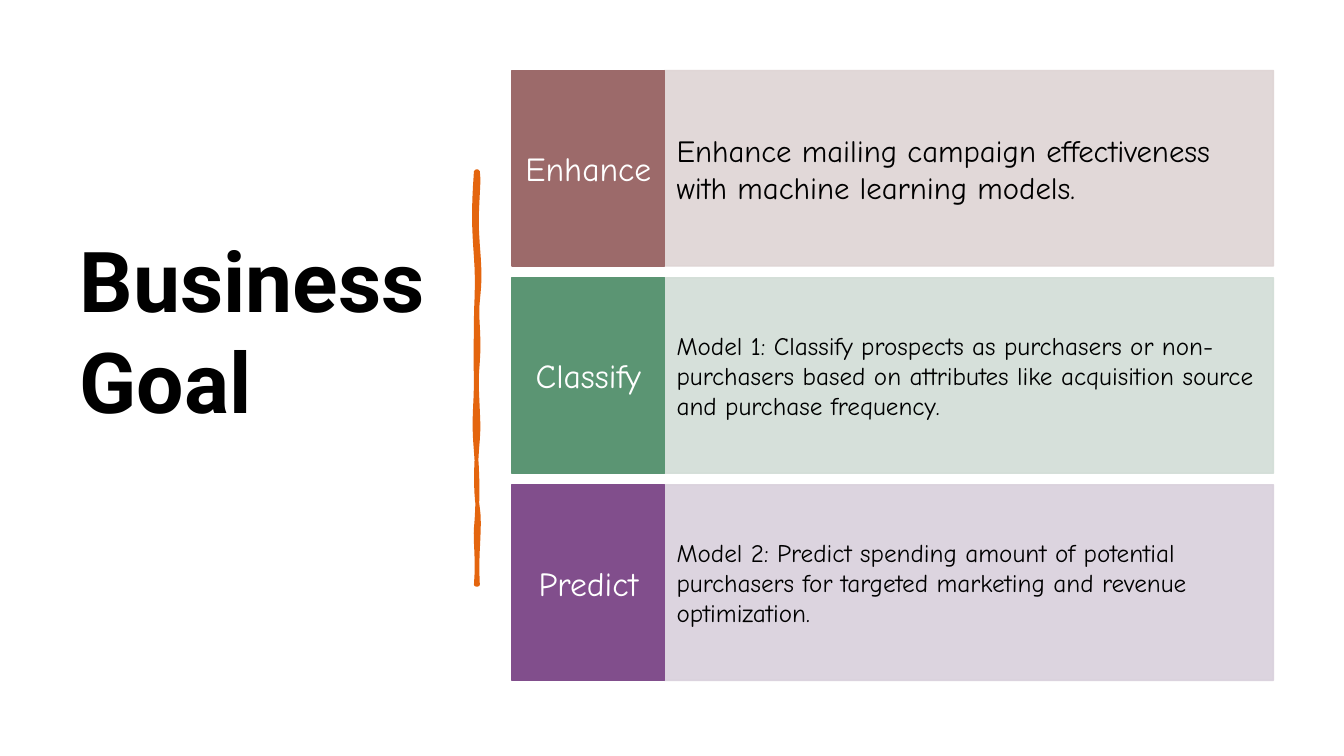
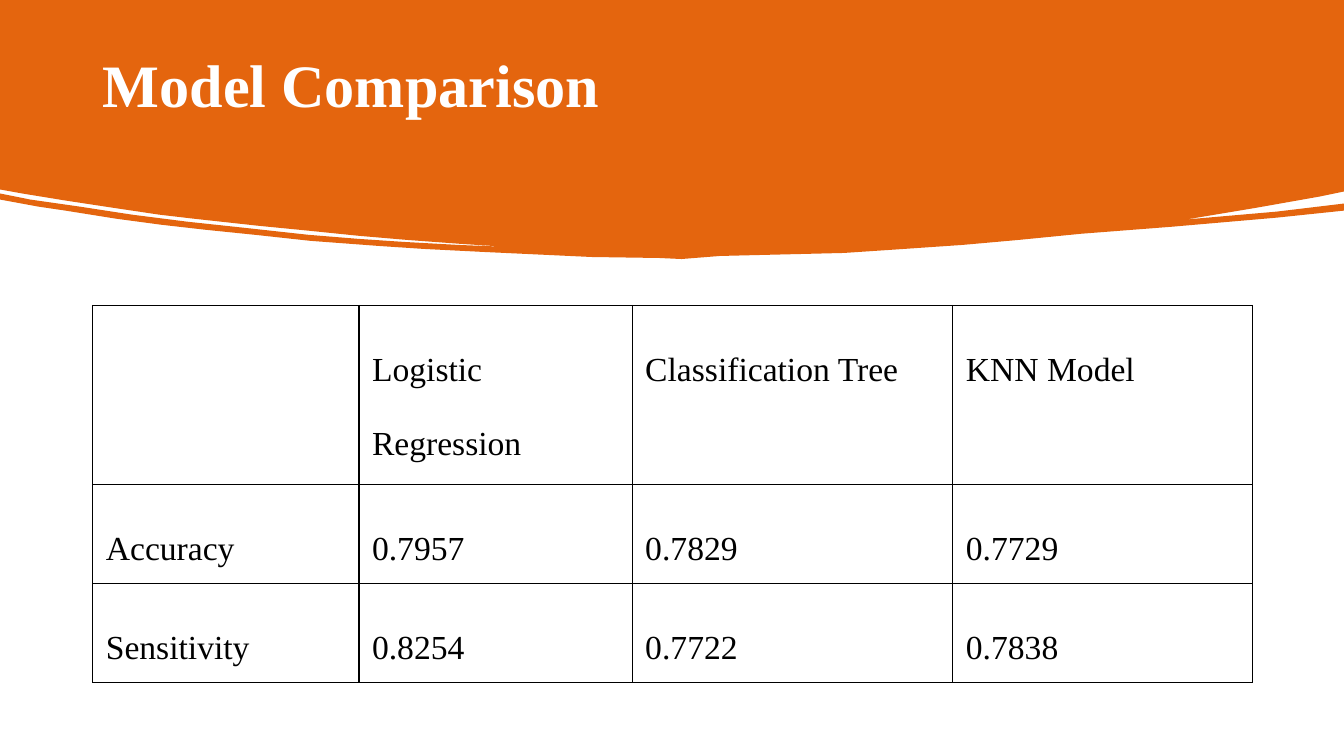
from dataclasses import dataclass
from typing import Optional

from lxml.etree import SubElement
from pptx import Presentation
from pptx.dml.color import RGBColor
from pptx.enum.shapes import MSO_SHAPE
from pptx.enum.text import MSO_ANCHOR as Anchor, PP_ALIGN as Align
from pptx.oxml import parse_xml
from pptx.oxml.ns import nsdecls, qn
from pptx.util import Inches, Pt

COLORS = {
    "black": "000000",
    "white": "FFFFFF",
    "orange": "E4650E",
    "rose": "9C6A6A",
    "pale rose": "DED4D4",
    "green": "5B9573",
    "pale green": "D2DDD6",
    "purple": "814E8C",
    "pale purple": "D9D0DC",
}
BODY_FONT = "Comic Neue"
SERIF_FONT = "Times New Roman"


@dataclass(frozen=True)
class Area:
    left: float
    top: float
    width: float
    height: float

    def emu(self):
        return [Inches(n) for n in (self.left, self.top, self.width, self.height)]


@dataclass(frozen=True)
class TextStyle:
    font: str
    size: float
    color: str
    bold: bool = False
    align: Align = Align.LEFT
    spacing: Optional[float] = None


@dataclass(frozen=True)
class Goal:
    label: str
    detail: str
    color: str
    size: float


GOALS = [
    Goal("Enhance", "Enhance mailing campaign effectiveness with machine learning models.",
         "rose", 22),
    Goal("Classify", "Model 1: Classify prospects as purchasers or non-purchasers based on "
         "attributes like acquisition source and purchase frequency.", "green", 18),
    Goal("Predict", "Model 2: Predict spending amount of potential purchasers for targeted "
         "marketing and revenue optimization.", "purple", 18),
]
GOAL_TOP, GOAL_BOTTOM, GOAL_HEIGHT = 0.7, 6.75, 1.94
LABEL_LEFT, LABEL_WIDTH, DETAIL_WIDTH = 5.08, 1.51, 6.04

STROKE_START = (4.72, 1.7)
STROKE_CURVES = [
    (4.73, 1.7, 4.73, 1.7, 4.74, 1.7),
    (4.76, 1.86, 4.71, 2.07, 4.74, 2.43),
    (4.77, 2.79, 4.75, 2.85, 4.74, 2.99),
    (4.72, 3.13, 4.76, 3.31, 4.74, 3.59),
    (4.71, 3.87, 4.76, 4.13, 4.74, 4.36),
    (4.72, 4.58, 4.71, 4.85, 4.74, 5.04),
    (4.77, 5.23, 4.72, 5.48, 4.74, 5.8),
    (4.73, 5.8, 4.73, 5.8, 4.72, 5.8),
    (4.74, 5.54, 4.71, 5.36, 4.72, 5.24),
    (4.73, 5.13, 4.75, 4.83, 4.72, 4.48),
    (4.69, 4.13, 4.72, 4.06, 4.72, 3.75),
    (4.71, 3.45, 4.72, 3.41, 4.72, 3.19),
    (4.72, 2.98, 4.74, 2.85, 4.72, 2.55),
    (4.7, 2.26, 4.69, 2.12, 4.72, 1.7),
]

BAND_OUTLINE = [
    (0, 0), (13.33, 0), (13.33, 1.9), (13.09, 1.95), (12.47, 2.06), (11.75, 2.18),
    (11.86, 2.17), (12.66, 2.1), (13.33, 2.02), (13.33, 2.09), (12.66, 2.16),
    (11.62, 2.25), (10.72, 2.32), (10.11, 2.38), (9.55, 2.43), (8.82, 2.48),
    (8.37, 2.51), (7.14, 2.54), (6.76, 2.57), (6.54, 2.56), (5.87, 2.55),
    (4.8, 2.5), (4.2, 2.47), (3.75, 2.44), (3.08, 2.39), (2.53, 2.33),
    (2.04, 2.28), (1.6, 2.23), (1.15, 2.17), (0.65, 2.09), (0.38, 2.05),
    (0, 1.98), (0, 1.92), (0.3, 1.98), (0.79, 2.05), (1.31, 2.13), (1.86, 2.2),
    (2.42, 2.26), (3.06, 2.33), (3.55, 2.37), (4, 2.4), (4.54, 2.43),
    (5.04, 2.45), (4.57, 2.42), (4.03, 2.38), (3.56, 2.34), (3.07, 2.29),
    (2.56, 2.24), (1.92, 2.17), (1.58, 2.13), (1.11, 2.06), (0.65, 1.99),
    (0.22, 1.92), (0, 1.88),
]

MODEL_ROWS = [
    ("", "Logistic Regression", "Classification Tree", "KNN Model"),
    ("Accuracy", "0.7957", "0.7829", "0.7729"),
    ("Sensitivity", "0.8254", "0.7722", "0.7838"),
]
COLUMN_WIDTHS = (2.64, 2.71, 3.18, 2.97)
ROW_HEIGHTS = (1.7, 0.9, 0.9)


def rgb(name: str) -> RGBColor:
    return RGBColor.from_string(COLORS[name])


def write(frame, text: str, style: TextStyle) -> None:
    frame.word_wrap = True
    para = frame.paragraphs[0]
    para.text = text
    para.alignment = style.align
    if style.spacing:
        para.line_spacing = style.spacing
    font = para.font
    font.name, font.size, font.bold = style.font, Pt(style.size), style.bold
    font.color.rgb = rgb(style.color)


def add_title(page, area: Area, text: str, style: TextStyle) -> None:
    frame = page.shapes.add_textbox(*area.emu()).text_frame
    frame.vertical_anchor = Anchor.MIDDLE
    write(frame, text, style)


def add_panel(page, area: Area, color: str, text: str, style: TextStyle,
              side: float, edge: float, opacity: int = 100) -> None:
    box = page.shapes.add_shape(MSO_SHAPE.RECTANGLE, *area.emu())
    box.shadow.inherit = False
    box.fill.solid()
    box.fill.fore_color.rgb = rgb(color)
    box.line.color.rgb = rgb(color)
    box.line.width = Pt(1)
    if opacity < 100:
        for tint in box.element.spPr.iter(qn("a:srgbClr")):
            SubElement(tint, qn("a:alpha"), val=str(opacity * 1000))
    frame = box.text_frame
    frame.vertical_anchor = Anchor.MIDDLE
    frame.margin_left = frame.margin_right = Inches(side)
    frame.margin_top = frame.margin_bottom = Inches(edge)
    write(frame, text, style)


def add_outline(page, points: list, color: str, line_width: float = 0) -> None:
    corners = [(Inches(x), Inches(y)) for x, y in points]
    builder = page.shapes.build_freeform(*corners[0])
    builder.add_line_segments(corners[1:], close=True)
    shape = builder.convert_to_shape()
    shape.shadow.inherit = False
    shape.fill.solid()
    shape.fill.fore_color.rgb = rgb(color)
    if line_width:
        shape.line.color.rgb = rgb(color)
        shape.line.width = Pt(line_width)
    else:
        shape.line.fill.background()


def flatten(start: tuple, curves: list, steps: int = 8) -> list:
    points = [start]
    for x1, y1, x2, y2, x3, y3 in curves:
        x0, y0 = points[-1]
        for step in range(1, steps + 1):
            t = step / steps
            u = 1 - t
            weights = (u ** 3, 3 * u * u * t, 3 * u * t * t, t ** 3)
            points.append(tuple(
                sum(w * n for w, n in zip(weights, axis))
                for axis in ((x0, x1, x2, x3), (y0, y1, y2, y3))))
    return points


def add_borders(cell, color: str) -> None:
    properties = cell._tc.get_or_add_tcPr()
    for index, side in enumerate("LRTB"):
        properties.insert(index, parse_xml(
            f'<a:ln{side} {nsdecls("a")} w="12700"><a:solidFill>'
            f'<a:srgbClr val="{COLORS[color]}"/></a:solidFill></a:ln{side}>'))


def add_model_table(page, area: Area) -> None:
    table = page.shapes.add_table(len(ROW_HEIGHTS), len(COLUMN_WIDTHS), *area.emu()).table
    table.first_row = table.horz_banding = False
    for column, width in zip(table.columns, COLUMN_WIDTHS):
        column.width = Inches(width)
    style = TextStyle(SERIF_FONT, 24, "black", align=Align.JUSTIFY, spacing=2)
    for row, height, texts in zip(table.rows, ROW_HEIGHTS, MODEL_ROWS):
        row.height = Inches(height)
        for cell, text in zip(row.cells, texts):
            cell.fill.background()
            cell.margin_left = cell.margin_right = Inches(0.13)
            cell.margin_top = cell.margin_bottom = Inches(0.09)
            add_borders(cell, "black")
            if text:
                write(cell.text_frame, text, style)


def build_goal_page(page) -> None:
    add_title(page, Area(0.69, 0.7, 3.74, 5.13), "Business Goal",
              TextStyle("Roboto", 60, "black", bold=True))
    add_outline(page, flatten(STROKE_START, STROKE_CURVES), "orange", 2.75)
    pitch = (GOAL_BOTTOM - GOAL_TOP - GOAL_HEIGHT) / (len(GOALS) - 1)
    label_style = TextStyle(BODY_FONT, 24, "white", align=Align.CENTER)
    for index, goal in enumerate(GOALS):
        top = GOAL_TOP + index * pitch
        add_panel(page, Area(LABEL_LEFT + LABEL_WIDTH, top, DETAIL_WIDTH, GOAL_HEIGHT),
                  f"pale {goal.color}", goal.detail,
                  TextStyle(BODY_FONT, goal.size, "black"), 0.12, 0.49, opacity=90)
        add_panel(page, Area(LABEL_LEFT, top, LABEL_WIDTH, GOAL_HEIGHT),
                  goal.color, goal.label, label_style, 0.08, 0.19)


def build_comparison_page(page) -> None:
    add_outline(page, BAND_OUTLINE, "orange")
    add_title(page, Area(0.92, 0.44, 11.5, 0.86), "Model Comparison",
              TextStyle(SERIF_FONT, 43, "white", bold=True, spacing=0.9))
    add_model_table(page, Area(0.92, 3.03, sum(COLUMN_WIDTHS), sum(ROW_HEIGHTS)))


def main() -> None:
    deck = Presentation()
    deck.slide_width, deck.slide_height = Inches(13.33), Inches(7.5)
    blank = deck.slide_layouts[6]
    for build in (build_goal_page, build_comparison_page):
        build(deck.slides.add_slide(blank))
    deck.save("out.pptx")


if __name__ == "__main__":
    main()
